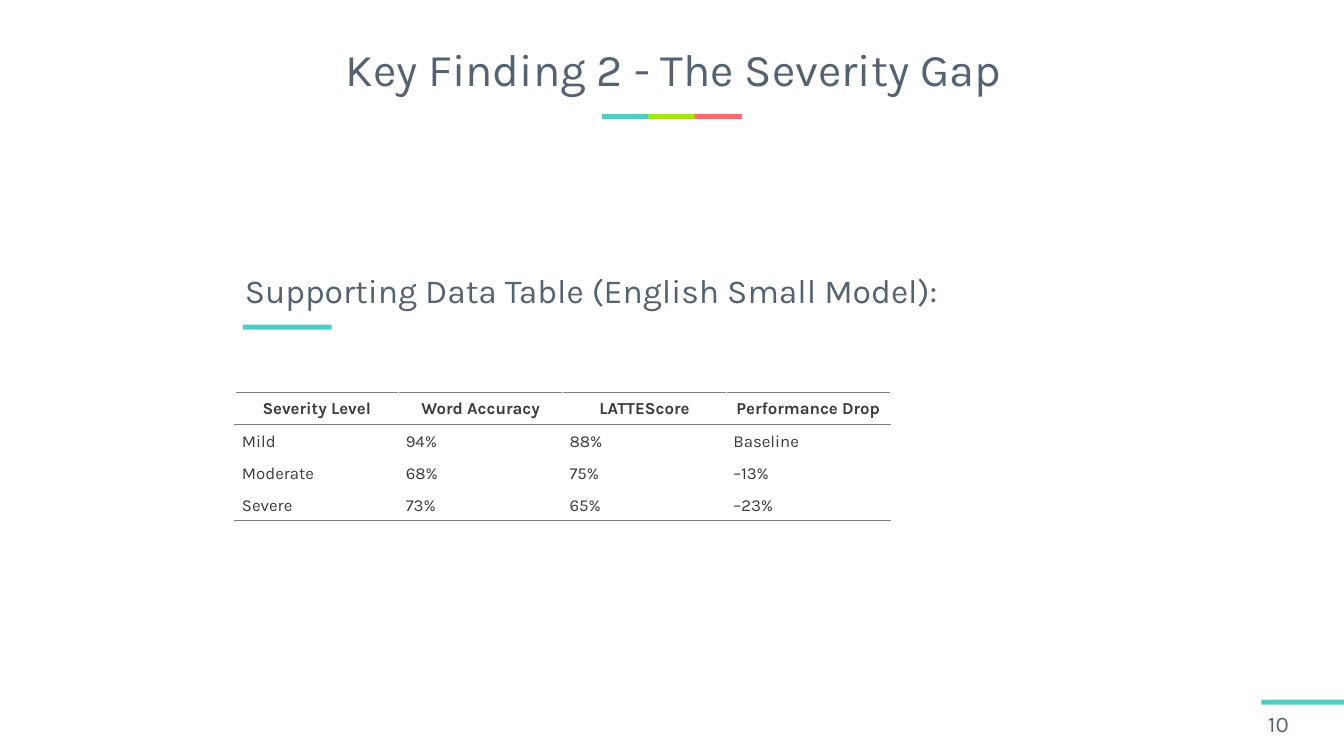
from lxml.etree import SubElement
from pptx import Presentation
from pptx.dml.color import RGBColor
from pptx.enum.shapes import MSO_SHAPE
from pptx.enum.text import MSO_ANCHOR, PP_ALIGN
from pptx.oxml.ns import qn
from pptx.util import Inches, Pt

COLORS = {
    "teal": "4ECDC4",
    "lime": "A3E511",
    "coral": "FF6B6B",
    "heading": "556272",
    "body": "3B3B3B",
    "rule": "7F7F7F",
}
FONT = "Karla"
SEVERITY_ROWS = [
    ("Severity Level", "Word Accuracy", "LATTEScore", "Performance Drop"),
    ("Mild", "94%", "88%", "Baseline"),
    ("Moderate", "68%", "75%", "–13%"),
    ("Severe", "73%", "65%", "–23%"),
]


def color(name):
    return RGBColor.from_string(COLORS[name])


def add_span(para, text, size, color_name, bold=False):
    span = para.add_run()
    span.text = text
    span.font.name = FONT
    span.font.size = Pt(size)
    span.font.bold = bold
    span.font.color.rgb = color(color_name)


def add_bar(page, left, top, width, color_name):
    bar = page.shapes.add_shape(
        MSO_SHAPE.RECTANGLE, Inches(left), Inches(top), Inches(width), Inches(0.05))
    bar.shadow.inherit = False
    bar.fill.solid()
    bar.fill.fore_color.rgb = color(color_name)
    bar.line.fill.background()


def set_title(page, text):
    title = page.shapes.title
    title.left, title.top = Inches(0.36), Inches(0.25)
    title.width, title.height = Inches(12.64), Inches(0.93)
    title.text_frame.vertical_anchor = MSO_ANCHOR.MIDDLE
    para = title.text_frame.paragraphs[0]
    para.alignment = PP_ALIGN.CENTER
    para.line_spacing = 0.9
    add_span(para, text, 32.4, "heading")


def add_label(page, left, top, width, height, text, size):
    box = page.shapes.add_textbox(
        Inches(left), Inches(top), Inches(width), Inches(height))
    frame = box.text_frame
    frame.word_wrap = True
    frame.vertical_anchor = MSO_ANCHOR.MIDDLE
    add_span(frame.paragraphs[0], text, size, "heading")


def add_rule(cell, edge, position):
    """Draw a thin rule on one edge; borders precede the fill in the cell."""
    properties = cell._tc.get_or_add_tcPr()
    line = SubElement(properties, qn(f"a:{edge}"), w=str(Pt(0.75)))
    fill = SubElement(line, qn("a:solidFill"))
    SubElement(fill, qn("a:srgbClr"), val=COLORS["rule"])
    properties.insert(position, line)


def fill_cell(cell, text, is_header):
    cell.fill.background()
    cell.margin_left = cell.margin_right = Inches(0.07)
    cell.margin_top = cell.margin_bottom = Inches(0.05)
    para = cell.text_frame.paragraphs[0]
    para.alignment = PP_ALIGN.CENTER if is_header else PP_ALIGN.LEFT
    para.line_spacing = Pt(15.7)
    add_span(para, text, 12, "body", bold=is_header)


def add_severity_table(page, rows):
    table = page.shapes.add_table(
        len(rows), len(rows[0]), Inches(2.33), Inches(3.89),
        Inches(6.5), Inches(1.24)).table
    table.first_row = False
    table.horz_banding = False
    last = len(rows) - 1
    for row_index, values in enumerate(rows):
        for column_index, text in enumerate(values):
            cell = table.cell(row_index, column_index)
            fill_cell(cell, text, row_index == 0)
            # Rules above and below the header, and under the last row
            if row_index in (0, 1):
                add_rule(cell, "lnT", 0)
            if row_index in (0, last):
                add_rule(cell, "lnB", 1 if row_index == 0 else 0)


def main():
    deck = Presentation()
    deck.slide_width, deck.slide_height = Inches(13.33), Inches(7.5)
    page = deck.slides.add_slide(deck.slide_layouts[5])

    # Title with its three-colour underline
    set_title(page, "Key Finding 2 - The Severity Gap")
    for index, name in enumerate(("teal", "lime", "coral")):
        add_bar(page, 5.97 + 0.46 * index, 1.13, 0.47, name)

    # Table heading and table
    add_label(page, 2.33, 2.61, 8.67, 0.54,
              "Supporting Data Table (English Small Model):", 24)
    add_bar(page, 2.41, 3.22, 0.88, "teal")
    add_severity_table(page, SEVERITY_ROWS)

    # Page number
    add_bar(page, 12.51, 6.94, 0.82, "teal")
    add_label(page, 12.48, 7, 0.86, 0.36, "10", 16)

    deck.save("out.pptx")


if __name__ == "__main__":
    main()
